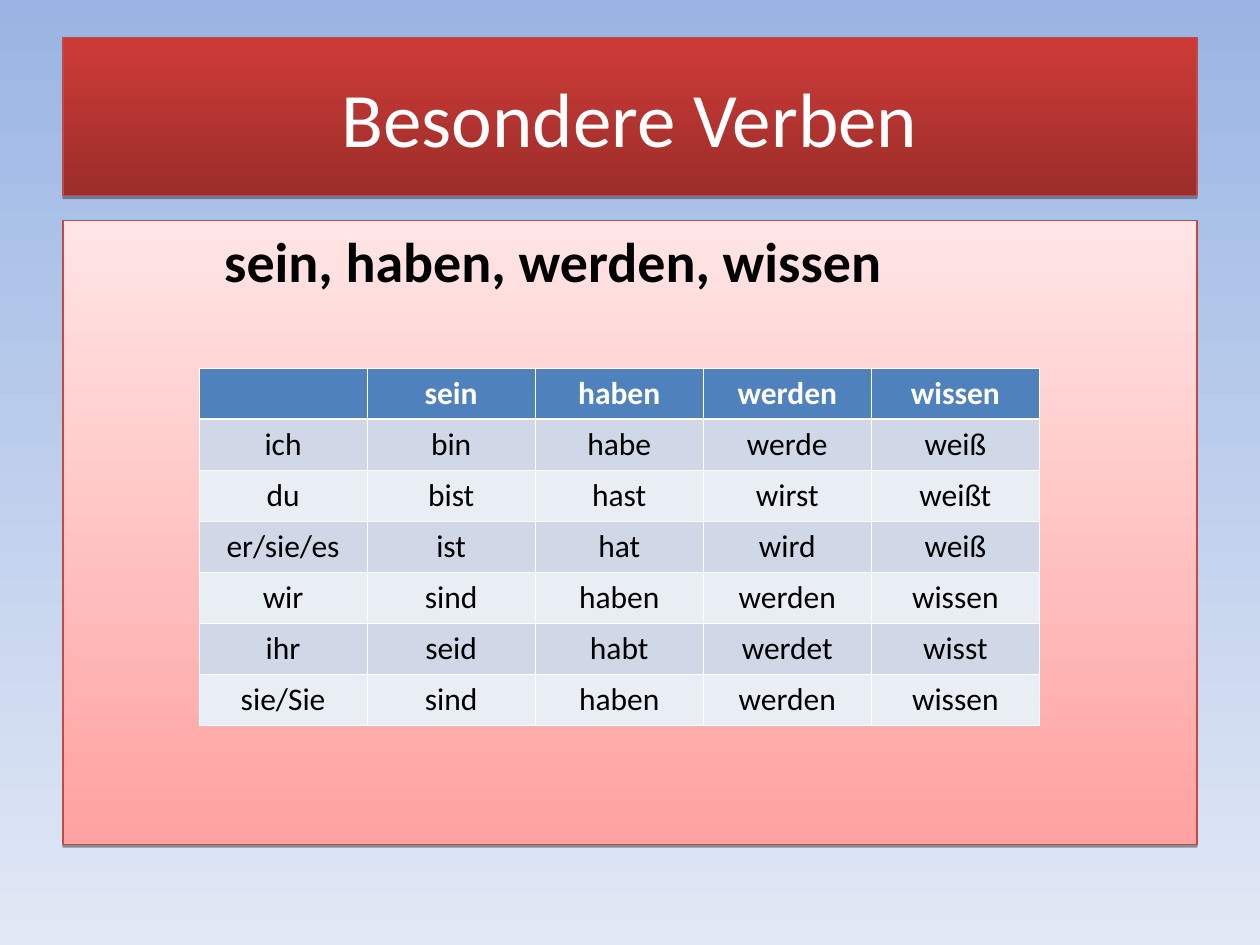
from lxml.etree import SubElement as Sub
from pptx import Presentation
from pptx.dml.color import RGBColor as Rgb
from pptx.enum.shapes import MSO_SHAPE as Shape
from pptx.enum.text import MSO_ANCHOR as Anchor, PP_ALIGN as Align
from pptx.oxml.ns import qn
from pptx.util import Inches, Pt

HUE = {
    "sky": "9AB5E4", "mist": "E1E8F5",
    "wine": "9B2D2A", "red": "CE3B37", "edge": "BE4B48",
    "rose": "FFA2A1", "blush": "FFE5E5",
    "head": "4F81BD", "odd": "D0D8E8", "even": "E9EDF4",
    "white": "FFFFFF", "black": "000000",
}
COLS, ROWS = 200, 150
FONT = "Calibri"
VERBS = [
    ["", "sein", "haben", "werden", "wissen"],
    ["ich", "bin", "habe", "werde", "weiß"],
    ["du", "bist", "hast", "wirst", "weißt"],
    ["er/sie/es", "ist", "hat", "wird", "weiß"],
    ["wir", "sind", "haben", "werden", "wissen"],
    ["ihr", "seid", "habt", "werdet", "wisst"],
    ["sie/Sie", "sind", "haben", "werden", "wissen"],
]


def tone(name):
    return Rgb.from_string(HUE[name])


def place(deck, box):
    x, y, w, h = box
    dx, dy = deck.slide_width / COLS, deck.slide_height / ROWS
    return int(x * dx), int(y * dy), int(w * dx), int(h * dy)


def blend(fill, first, last, angle):
    fill.gradient()
    fill.gradient_angle = angle
    for stop, name in zip(fill.gradient_stops, (first, last)):
        stop.color.rgb = tone(name)


def write(frame, text, size, name, bold=False, align=Align.CENTER):
    frame.text = text
    part = frame.paragraphs[0]
    part.alignment = align
    for run in part.runs:
        run.font.name = FONT
        run.font.size = Pt(size)
        run.font.bold = bold
        run.font.color.rgb = tone(name)
    return part


def shade(shape, alpha, dist):
    shape.shadow.inherit = False
    list_ = shape._element.spPr.find(qn("a:effectLst"))
    cast = Sub(list_, qn("a:outerShdw"), blurRad="0", dist=str(Pt(dist)),
               dir="5400000", rotWithShape="0")
    color = Sub(cast, qn("a:srgbClr"), val=HUE["black"])
    Sub(color, qn("a:alpha"), val=str(alpha * 1000))


def block(deck, slide, box, first, last, alpha, dist):
    shape = slide.shapes.add_shape(Shape.RECTANGLE, *place(deck, box))
    blend(shape.fill, first, last, 90)
    shape.line.color.rgb = tone("edge")
    shape.line.width = Pt(0.75)
    shade(shape, alpha, dist)
    shape.text_frame.word_wrap = True
    return shape.text_frame


def title(deck, slide, box):
    frame = block(deck, slide, box, "wine", "red", 35, 1.8)
    frame.vertical_anchor = Anchor.MIDDLE
    write(frame, "Besondere Verben", 44, "white")


def panel(deck, slide, box):
    frame = block(deck, slide, box, "rose", "blush", 38, 1.6)
    frame.vertical_anchor = Anchor.TOP
    frame.margin_left = Inches(1.28)
    write(frame, "sein, haben, werden, wissen", 32, "black", True, Align.LEFT)


def rule(cell, side, width):
    line = Sub(cell._tc.get_or_add_tcPr(), qn("a:ln" + side), w=str(Pt(width)))
    Sub(Sub(line, qn("a:solidFill")), qn("a:srgbClr"), val=HUE["white"])


def verbs(deck, slide, box):
    spot = place(deck, box)
    table = slide.shapes.add_table(len(VERBS), len(VERBS[0]), *spot).table
    for row, words in enumerate(VERBS):
        head = row == 0
        back = "head" if head else "odd" if row % 2 else "even"
        for col, word in enumerate(words):
            cell = table.cell(row, col)
            for side in "LRTB":
                thick = (row, side) in ((0, "B"), (1, "T"))
                rule(cell, side, 1.47 if thick else 0.45)
            cell.fill.solid()
            cell.fill.fore_color.rgb = tone(back)
            write(cell.text_frame, word, 18, "white" if head else "black", head)


def main():
    deck = Presentation()
    deck.slide_width, deck.slide_height = Inches(10), Inches(7.5)
    slide = deck.slides.add_slide(deck.slide_layouts[6])
    blend(slide.background.fill, "sky", "mist", 270)
    title(deck, slide, (10, 6, 180, 25))
    panel(deck, slide, (10, 35, 180, 99))
    verbs(deck, slide, (31.6, 58.4, 133.4, 56.8))
    deck.save("out.pptx")


if __name__ == "__main__":
    main()
